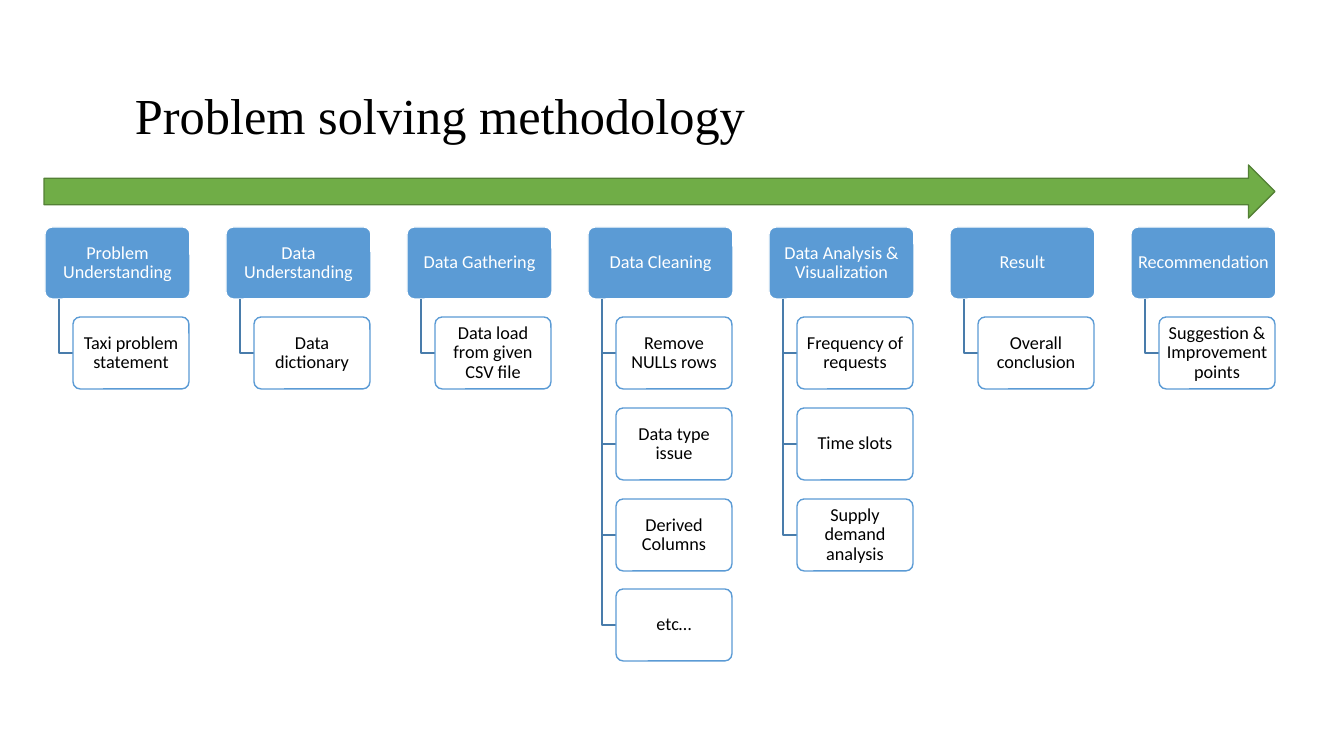
"""Build the problem solving methodology slide."""
from lxml import etree
from pptx import Presentation, util as u
from pptx.dml import color
from pptx.enum import shapes, text
from pptx.oxml import ns

TITLE = "Problem solving methodology"
STAGES = [
    ("Problem Understanding", ["Taxi problem statement"]),
    ("Data Understanding", ["Data dictionary"]),
    ("Data Gathering", ["Data load from given CSV file"]),
    ("Data Cleaning", ["Remove NULLs rows", "Data type issue", "Derived Columns", "etc…"]),
    ("Data Analysis & Visualization",
     ["Frequency of requests", "Time slots", "Supply demand analysis"]),
    ("Result", ["Overall conclusion"]),
    ("Recommendation", ["Suggestion & Improvement points"]),
]

PX = 12192000 / 1344
TITLE_BOX = (125, 71, 1027, 95)
ARROW_BOX = (44, 165, 1231, 53)
LEFT, TOP, COLUMN_STEP = 45, 227, 181
FOUR_ROWS = 362
STAGE_WIDTH, STEP_WIDTH, BOX_HEIGHT = 145, 116, 72
ELBOW_INDENT, STEP_INDENT = 14, 28

BLUE, ELBOW_BLUE, GREEN, DARK_GREEN = "5B9BD5", "497CAB", "70AD47", "538035"
WHITE, BLACK = "FFFFFF", "000000"
TITLE_FORMAT = {"size": u.Pt(36), "name": "Times New Roman"}
BOX_FORMAT = {"size": u.Pt(13), "name": "Calibri"}
BOX_FRAME = {"margin_left": 3, "margin_right": 3, "margin_top": 2, "margin_bottom": 2}


def emu(*lengths):
    return [round(length * PX) for length in lengths]


def rgb(value):
    return color.RGBColor.from_string(value)


def write(shape, words, ink, font_format, align):
    frame = shape.text_frame
    frame.word_wrap = True
    frame.vertical_anchor = text.MSO_ANCHOR.MIDDLE
    paragraph = frame.paragraphs[0]
    paragraph.alignment = align
    paragraph.line_spacing = 0.9
    run = paragraph.add_run()
    run.text = words
    for name, value in font_format.items():
        setattr(run.font, name, value)
    run.font.color.rgb = rgb(ink)


def outline(shape, line):
    shape.shadow.inherit = False
    shape.line.color.rgb = rgb(line)
    shape.line.width = u.Pt(1)


def add_filled(slide, kind, place, fill, line):
    shape = slide.shapes.add_shape(kind, *emu(*place))
    shape.fill.solid()
    shape.fill.fore_color.rgb = rgb(fill)
    outline(shape, line)
    return shape


def add_box(slide, place, words, fill, line, ink):
    box = add_filled(slide, shapes.MSO_SHAPE.ROUNDED_RECTANGLE, place, fill, line)
    box.adjustments[0] = 0.1
    for name, margin in BOX_FRAME.items():
        setattr(box.text_frame, name, emu(margin)[0])
    write(box, words, ink, BOX_FORMAT, text.PP_ALIGN.CENTER)
    return box


def add_elbow(slide, left, top, right, bottom):
    builder = slide.shapes.build_freeform(left, top, scale=PX)
    builder.add_line_segments([(left, bottom), (right, bottom)], close=False)
    elbow = builder.convert_to_shape()
    elbow.fill.background()
    outline(elbow, ELBOW_BLUE)


def add_stage(slide, left, stage, steps):
    add_box(slide, (left, TOP, STAGE_WIDTH, BOX_HEIGHT), stage, BLUE, WHITE, WHITE)
    step_left = left + STEP_INDENT
    for row, step in enumerate(steps, 1):
        step_top = TOP + round(FOUR_ROWS * row / 4)
        add_elbow(slide, left + ELBOW_INDENT, TOP + BOX_HEIGHT,
                  step_left, step_top + BOX_HEIGHT // 2)
        box = add_box(slide, (step_left, step_top, STEP_WIDTH, BOX_HEIGHT),
                      step, WHITE, BLUE, BLACK)
        fill_color = box.fill._xPr.find(ns.qn("a:solidFill"))[0]
        etree.SubElement(fill_color, ns.qn("a:alpha"), val="90000")


def main():
    deck = Presentation()
    deck.slide_width, deck.slide_height = emu(1344, 756)
    slide = deck.slides.add_slide(deck.slide_layouts[6])
    title = slide.shapes.add_textbox(*emu(*TITLE_BOX))
    write(title, TITLE, BLACK, TITLE_FORMAT, text.PP_ALIGN.LEFT)
    for column, (stage, steps) in enumerate(STAGES):
        add_stage(slide, LEFT + column * COLUMN_STEP, stage, steps)
    add_filled(slide, shapes.MSO_SHAPE.RIGHT_ARROW, ARROW_BOX, GREEN, DARK_GREEN)
    deck.save("out.pptx")


if __name__ == "__main__":
    main()
